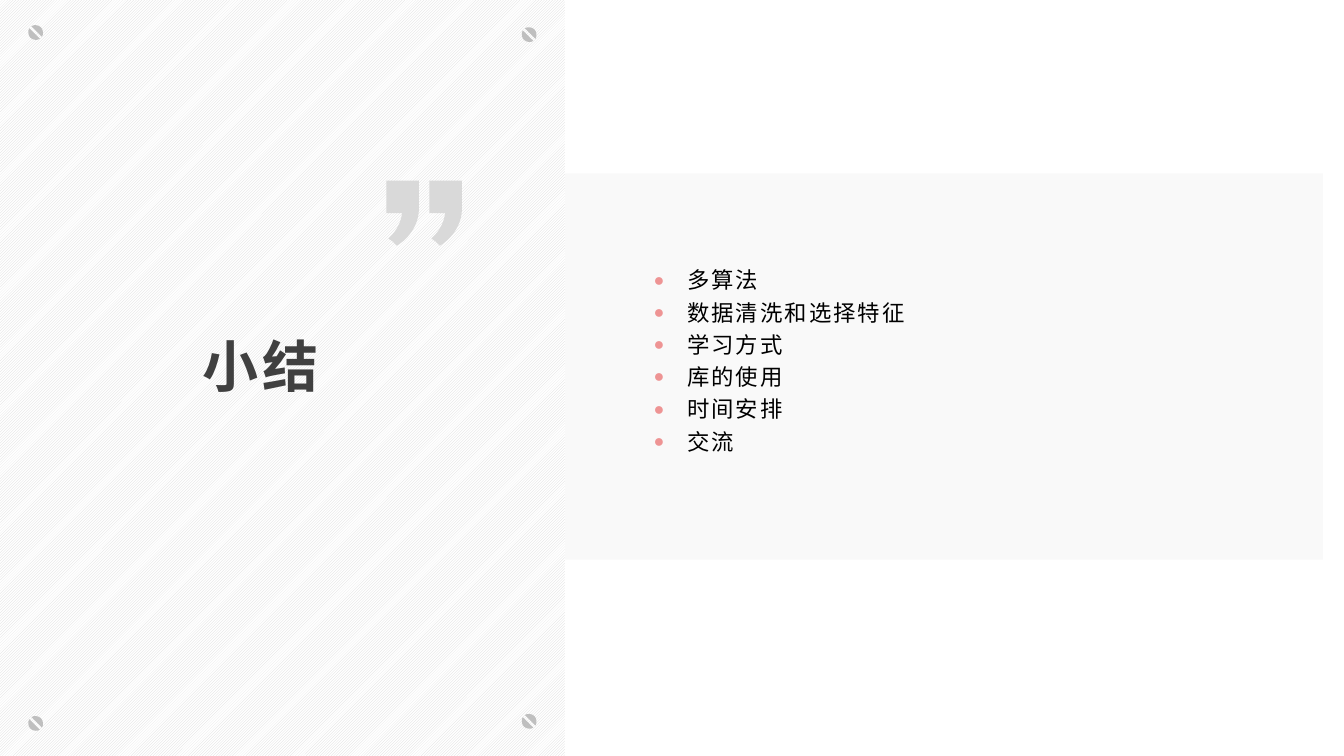
from dataclasses import dataclass

from lxml.etree import SubElement
from pptx import Presentation
from pptx.dml.color import RGBColor as Color
from pptx.enum.dml import MSO_PATTERN_TYPE as Pattern
from pptx.enum.shapes import MSO_SHAPE as Preset
from pptx.enum.text import MSO_ANCHOR as Anchor, PP_ALIGN as Align
from pptx.oxml.ns import qn
from pptx.util import Pt

PX = 9525


@dataclass(frozen=True)
class Theme:
    font: str = "Arial"
    title_size: int = 40
    list_size: int = 16
    title: str = "404040"
    text: str = "000000"
    bullet: str = "EE9494"
    band: str = "F2F2F2"
    stripe: str = "D9D9D9"
    paper: str = "FFFFFF"
    screw: str = "BFBFBF"


THEME = Theme()
SCREW_SIZE = 14
SCREW_HALF = [
    [(1, 3)],
    [(11, 13)],
    [(10, 14), (8, 14), (7, 14)],
    [(3, 14), (0, 11), (0, 7)],
    [(0, 6), (0, 4), (1, 3)],
]
QUOTE_MARK = [
    [(0, 0)],
    [(31, 0)],
    [(31, 28)],
    [(30, 51), (10, 62), (10, 62)],
    [(8, 60)],
    [(7, 59), (5, 57), (3, 56)],
    [(2, 55)],
    [(2, 55), (13, 47), (15, 31)],
    [(0, 31)],
]


def rgb(code):
    return Color.from_string(code)


def emu(*lengths):
    return [length * PX for length in lengths]


def set_values(target, values):
    for name, value in values.items():
        setattr(target, name, value)


def fill_solid(shape, color):
    shape.fill.solid()
    shape.fill.fore_color.rgb = rgb(color)
    shape.line.fill.background()
    shape.shadow.inherit = False


def add_panel(page, box, color):
    panel = page.shapes.add_shape(Preset.RECTANGLE, *emu(*box))
    fill_solid(panel, color)
    return panel


def add_outline(shapes, left, top, contours, color):
    placed = [
        [[tuple(emu(left + x, top + y)) for x, y in segment] for segment in contour]
        for contour in contours
    ]
    builder = shapes.build_freeform(*placed[0][0][-1])
    for index, contour in enumerate(placed):
        if index:
            builder.move_to(*contour[0][-1])
        builder.add_line_segments([segment[-1] for segment in contour[1:]], close=True)
    shape = builder.convert_to_shape()
    fill_solid(shape, color)
    segments = [segment for contour in placed for segment in contour[1:]]
    for line, segment in zip(list(shape._element.iter(qn("a:lnTo"))), segments):
        if len(segment) == 3:
            bend = SubElement(line.getparent(), qn("a:cubicBezTo"))
            for x, y in segment:
                SubElement(bend, qn("a:pt"), x=str(x - shape.left), y=str(y - shape.top))
            line.getparent().replace(line, bend)


def add_screws(page, box):
    left, top, width, height = box
    right, bottom = left + width, top + height
    opposite = [
        [(SCREW_SIZE - x, SCREW_SIZE - y) for x, y in segment] for segment in SCREW_HALF
    ]
    for x, y in ((right - 41, top + 26), (right - 41, bottom - 40),
                 (left + 27, top + 24), (left + 27, bottom - 38)):
        add_outline(page.shapes, x, y, [SCREW_HALF, opposite], THEME.screw)


def add_quote(page, left, top, pitch=41):
    group = page.shapes.add_group_shape()
    for shift in (0, pitch):
        add_outline(group.shapes, left + shift, top, [QUOTE_MARK], THEME.stripe)


def add_bullet(para, indent, hanging):
    props = para._p.get_or_add_pPr()
    props.set("marL", str(indent * PX))
    props.set("indent", str(-hanging * PX))
    SubElement(SubElement(props, qn("a:buClr")), qn("a:srgbClr"), val=THEME.bullet)
    SubElement(props, qn("a:buSzPct"), val="80000")
    SubElement(props, qn("a:buFont"), typeface=THEME.font)
    SubElement(props, qn("a:buChar"), char="●")


def add_text(page, box, lines, size, color, spacing, bold=False, bulleted=False):
    frame = page.shapes.add_textbox(*emu(*box)).text_frame
    set_values(frame, {"word_wrap": True, "vertical_anchor": Anchor.TOP})
    for index, line in enumerate(lines):
        para = frame.paragraphs[0] if index == 0 else frame.add_paragraph()
        set_values(para, {"line_spacing": 1.2, "alignment": Align.LEFT})
        if bulleted:
            add_bullet(para, 37, 32)
        span = para.add_run()
        span.text = line
        set_values(span.font, {"name": THEME.font, "size": Pt(size), "bold": bold})
        span.font.color.rgb = rgb(color)
        props = span._r.get_or_add_rPr()
        props.set("spc", str(spacing))
        SubElement(props, qn("a:ea"), typeface=THEME.font)


def add_band(page, box):
    band = add_panel(page, box, THEME.band)
    tint = band.fill._xPr.find(qn("a:solidFill"))[0]
    SubElement(tint, qn("a:alpha"), val="40000")


def add_title_panel(page, box, title):
    left, top, width, height = box
    panel = add_panel(page, box, THEME.paper)
    panel.fill.patterned()
    panel.fill.pattern = Pattern.LIGHT_UPWARD_DIAGONAL
    panel.fill.fore_color.rgb = rgb(THEME.stripe)
    panel.fill.back_color.rgb = rgb(THEME.paper)
    add_text(page, (left + 183, top + 298, 234, 130), [title],
             THEME.title_size, THEME.title, 300, bold=True)


def add_topics(page, box, topics):
    left, top, width, height = box
    add_text(page, (left + 91, top + 79, 564, 211), topics,
             THEME.list_size, THEME.text, 150, bulleted=True)


def add_ornaments(page, box):
    left, top, width, height = box
    add_screws(page, box)
    add_quote(page, left + 368, top + 172)


def main():
    deck = Presentation()
    set_values(deck, dict(zip(("slide_width", "slide_height"), emu(1280, 720))))
    page = deck.slides.add_slide(deck.slide_layouts[6])
    title_box = (0, 0, 538, 720)
    band_box = (517, 165, 743, 368)
    topics = ["多算法", "数据清洗和选择特征", "学习方式", "库的使用", "时间安排", "交流"]
    add_band(page, band_box)
    add_title_panel(page, title_box, "小结")
    add_topics(page, band_box, topics)
    add_ornaments(page, title_box)
    deck.save("out.pptx")


if __name__ == "__main__":
    main()
